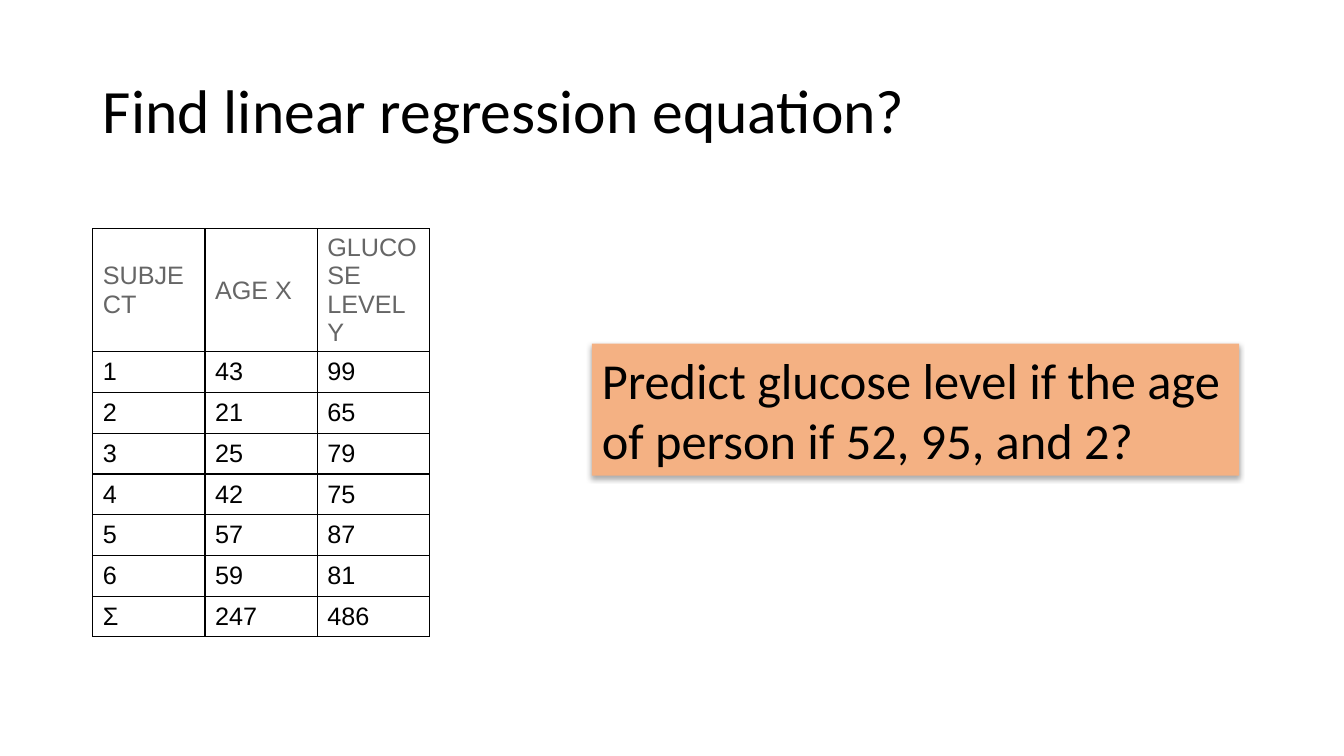
from lxml import etree
from pptx import Presentation
from pptx.dml.color import RGBColor
from pptx.enum.shapes import MSO_SHAPE
from pptx.enum.text import MSO_ANCHOR, MSO_AUTO_SIZE, PP_ALIGN
from pptx.oxml.ns import qn
from pptx.util import Inches, Pt

BLACK = RGBColor(0x00, 0x00, 0x00)
WHITE = RGBColor(0xFF, 0xFF, 0xFF)
HEADER_GRAY = RGBColor(0x66, 0x66, 0x66)
ORANGE = RGBColor(0xF4, 0xB1, 0x83)
RECTANGLE = MSO_SHAPE.RECTANGLE
MIDDLE, TOP = MSO_ANCHOR.MIDDLE, MSO_ANCHOR.TOP
LEFT = PP_ALIGN.LEFT
GROW_TO_TEXT = MSO_AUTO_SIZE.SHAPE_TO_FIT_TEXT

HEADER_HEIGHT = 1.22
MEASUREMENTS = [
    ("SUBJECT", "AGE X", "GLUCOSE LEVEL Y"),
    ("1", "43", "99"),
    ("2", "21", "65"),
    ("3", "25", "79"),
    ("4", "42", "75"),
    ("5", "57", "87"),
    ("6", "59", "81"),
    ("Σ", "247", "486"),
]


def write_text(frame, text, size, font="Calibri", color=BLACK, anchor=MIDDLE, spacing=None):
    frame.word_wrap = True
    frame.vertical_anchor = anchor
    paragraph = frame.paragraphs[0]
    paragraph.alignment = LEFT
    paragraph.line_spacing = spacing
    run = paragraph.add_run()
    run.text = text
    run.font.size = Pt(size)
    run.font.name = font
    run.font.color.rgb = color


def add_color(parent, color):
    fill = etree.SubElement(parent, qn("a:solidFill"))
    return etree.SubElement(fill, qn("a:srgbClr"), val=str(color))


def add_borders(cell, color=BLACK, width=1):
    properties = cell._tc.get_or_add_tcPr()
    for index, side in enumerate(("a:lnL", "a:lnR", "a:lnT", "a:lnB")):
        line = etree.Element(qn(side), w=str(Pt(width)))
        add_color(line, color)
        properties.insert(index, line)


def add_shadow(shape, blur, distance, opacity):
    """Cast a black shadow straight down; blur and distance in points, opacity in percent."""
    shape.shadow.inherit = False
    effects = shape._element.spPr.find(qn("a:effectLst"))
    shadow = etree.SubElement(
        effects, qn("a:outerShdw"), blurRad=str(Pt(blur)), dist=str(Pt(distance)),
        dir=str(90 * 60000), algn="t", rotWithShape="0")
    color = etree.SubElement(shadow, qn("a:srgbClr"), val=str(BLACK))
    etree.SubElement(color, qn("a:alpha"), val=str(opacity * 1000))


def place_title(slide, left, top, width, height):
    title = slide.shapes.title
    title.left, title.top = Inches(left), Inches(top)
    title.width, title.height = Inches(width), Inches(height)
    write_text(title.text_frame, "Find linear regression equation?", 44, spacing=0.9)


def add_measurements(slide, left, top, width, height):
    row_count, column_count = len(MEASUREMENTS), len(MEASUREMENTS[0])
    table = slide.shapes.add_table(
        row_count, column_count, Inches(left), Inches(top), Inches(width), Inches(height)).table
    table.first_row = table.horz_banding = False
    for column in table.columns:
        column.width = Inches(width / column_count)
    for index, values in enumerate(MEASUREMENTS):
        is_header = index == 0
        data_height = (height - HEADER_HEIGHT) / (row_count - 1)
        table.rows[index].height = Inches(HEADER_HEIGHT if is_header else data_height)
        for cell, value in zip(table.rows[index].cells, values):
            cell.fill.solid()
            cell.fill.fore_color.rgb = WHITE
            cell.margin_left = cell.margin_right = Inches(0.1)
            cell.margin_top = cell.margin_bottom = Inches(0.05 if is_header else 0.06)
            cell.vertical_anchor = MIDDLE
            write_text(cell.text_frame, value, 18, font="Arial",
                       color=HEADER_GRAY if is_header else BLACK)
            add_borders(cell)


def add_question(slide, left, top, width, height):
    question = slide.shapes.add_shape(
        RECTANGLE, Inches(left), Inches(top), Inches(width), Inches(height))
    question.fill.solid()
    question.fill.fore_color.rgb = ORANGE
    question.line.fill.background()
    add_shadow(question, blur=3.5, distance=2.2, opacity=32)
    write_text(question.text_frame,
               "Predict glucose level if the age of person if 52, 95, and 2?", 36, anchor=TOP)
    question.text_frame.auto_size = GROW_TO_TEXT


def main():
    presentation = Presentation()
    presentation.slide_width, presentation.slide_height = Inches(13.33), Inches(7.5)
    title_only = presentation.slide_layouts[5]
    slide = presentation.slides.add_slide(title_only)
    place_title(slide, 0.92, 0.4, 11.5, 1.45)
    add_measurements(slide, 0.92, 2.27, 3.34, 4.05)
    add_question(slide, 5.87, 3.41, 6.42, 1.31)
    presentation.save("out.pptx")


if __name__ == "__main__":
    main()
